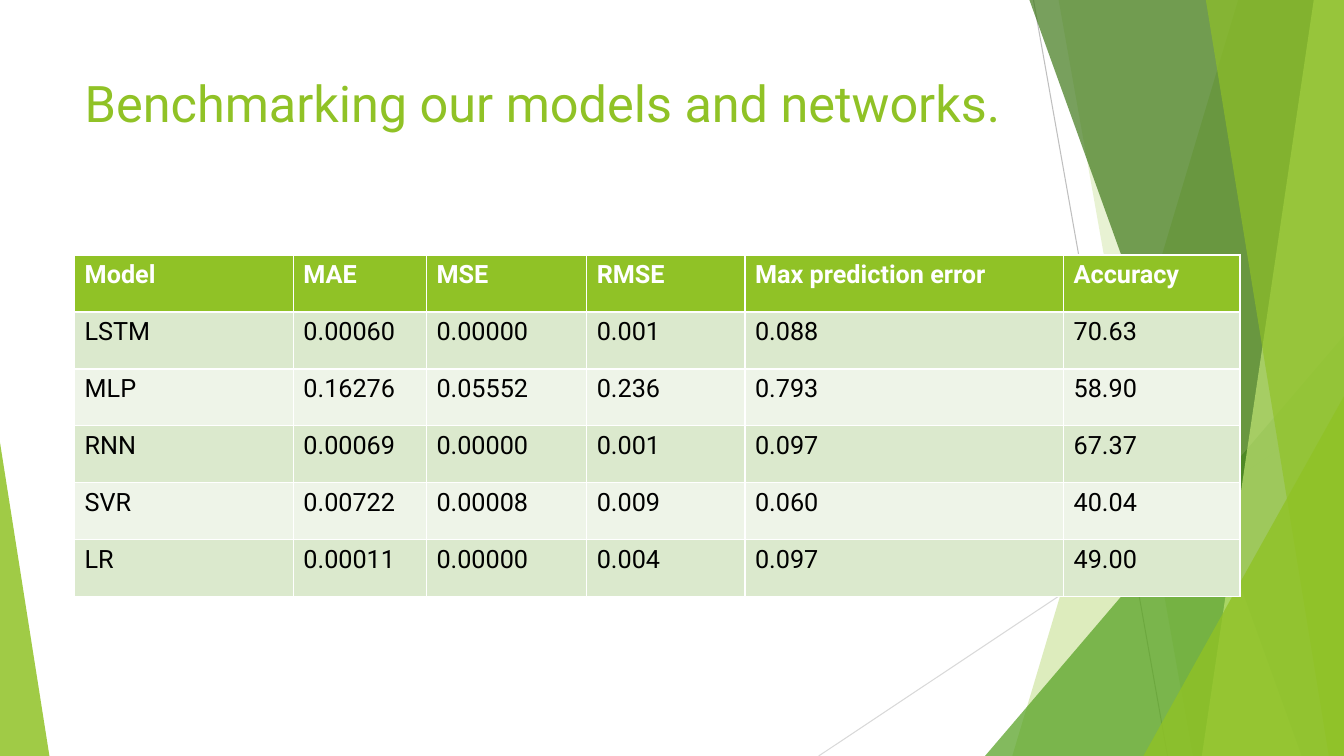
from pptx import Presentation
from pptx.dml.color import RGBColor
from pptx.enum.shapes import MSO_CONNECTOR, MSO_SHAPE
from pptx.enum.text import MSO_ANCHOR, PP_ALIGN
from pptx.oxml.ns import qn
from pptx.util import Inches, Pt
from lxml.etree import SubElement

WIDTH, HEIGHT = 13.33, 7.5
FONT = "Roboto"
GREEN = RGBColor(0x90, 0xC2, 0x26)
MID_GREEN = RGBColor(0x54, 0xA0, 0x21)
DARK_GREEN = RGBColor(0x3F, 0x78, 0x19)
LIME = RGBColor(0xC0, 0xE4, 0x74)
ROW_TINTS = (RGBColor(0xDB, 0xE9, 0xCD), RGBColor(0xEE, 0xF4, 0xE8))
GREY = RGBColor(0xBF, 0xBF, 0xBF)
LIGHT_GREY = RGBColor(0xD9, 0xD9, 0xD9)
WHITE = RGBColor(0xFF, 0xFF, 0xFF)
BLACK = RGBColor(0, 0, 0)

# Content
TITLE = "Benchmarking our models and networks."
ROWS = [
    ("Model", "MAE", "MSE", "RMSE", "Max prediction error", "Accuracy"),
    ("LSTM", "0.00060", "0.00000", "0.001", "0.088", "70.63"),
    ("MLP", "0.16276", "0.05552", "0.236", "0.793", "58.90"),
    ("RNN", "0.00069", "0.00000", "0.001", "0.097", "67.37"),
    ("SVR", "0.00722", "0.00008", "0.009", "0.060", "40.04"),
    ("LR", "0.00011", "0.00000", "0.004", "0.097", "49.00"),
]
COL_WIDTHS = (2.17, 1.32, 1.59, 1.57, 3.16, 1.75)
ROW_HEIGHT = 0.565

# Background: lines as (x1, y1, x2, y2, colour)
LINES = [
    (10.25, 0, 11.58, HEIGHT, GREY),
    (WIDTH, 4.03, 8.12, HEIGHT, LIGHT_GREY),
]
# Bands reach the right edge: ("band", top x, bottom x, colour, opacity %)
# Triangles stand on the bottom edge: ("triangle", left, top, width, apex, colour, opacity %)
FACETS = [
    ("band", 12.28, 10.04, GREEN, 30),
    ("band", 10.5, 11.83, GREEN, 20),
    ("triangle", 9.77, 3.33, 3.56, 1, MID_GREEN, 72),
    ("band", 10.21, 12.91, DARK_GREEN, 70),
    ("band", 13.03, 11.92, LIME, 70),
    ("band", 11.96, 13.18, GREEN, 65),
    ("triangle", 11.34, 3.93, 1.99, 1, GREEN, 80),
    ("triangle", 0, 4.39, 0.49, 0, GREEN, 85),
]


def add_band(shapes, top_x, bottom_x):
    builder = shapes.build_freeform(Inches(top_x), 0)
    corners = [(WIDTH, 0), (WIDTH, HEIGHT), (bottom_x, HEIGHT)]
    builder.add_line_segments([(Inches(x), Inches(y)) for x, y in corners], close=True)
    return builder.convert_to_shape()


def add_triangle(shapes, left, top, width, apex):
    sp = shapes.add_shape(MSO_SHAPE.ISOSCELES_TRIANGLE, Inches(left), Inches(top),
                          Inches(width), Inches(HEIGHT - top))
    sp.adjustments[0] = apex
    return sp


def add_background(shapes):
    for x1, y1, x2, y2, color in LINES:
        line = shapes.add_connector(MSO_CONNECTOR.STRAIGHT, Inches(x1), Inches(y1),
                                    Inches(x2), Inches(y2))
        line.line.color.rgb = color
        line.line.width = Pt(0.75)
        SubElement(line.element.spPr, qn("a:effectLst"))
    for kind, *geometry, color, opacity in FACETS:
        add = add_band if kind == "band" else add_triangle
        sp = add(shapes, *geometry)
        sp.shadow.inherit = False
        sp.line.fill.background()
        sp.fill.solid()
        sp.fill.fore_color.rgb = color
        srgb = sp.element.spPr.find(qn("a:solidFill")).find(qn("a:srgbClr"))
        SubElement(srgb, qn("a:alpha"), val=str(opacity * 1000))


def format_run(r, size, color, bold=False):
    r.font.name = FONT
    r.font.size = Pt(size)
    r.font.color.rgb = color
    r.font.bold = bold


def add_title(slide):
    title = slide.shapes.title
    title.left, title.top = Inches(0.74), Inches(0.67)
    title.width, title.height = Inches(9.4), Inches(1.44)
    tf = title.text_frame
    tf.text = TITLE
    tf.vertical_anchor = MSO_ANCHOR.TOP
    p = tf.paragraphs[0]
    p.alignment = PP_ALIGN.LEFT
    format_run(p.runs[0], 36, GREEN)
    slide.shapes.element.append(title.element)  # bring in front of the background


def add_results(shapes):
    table = shapes.add_table(len(ROWS), len(COL_WIDTHS), Inches(0.74), Inches(2.53),
                             Inches(sum(COL_WIDTHS)), Inches(ROW_HEIGHT * len(ROWS))).table
    for column, width in zip(table.columns, COL_WIDTHS):
        column.width = Inches(width)
    for i, values in enumerate(ROWS):
        header = i == 0
        for j, value in enumerate(values):
            cell = table.cell(i, j)
            cell.text_frame.text = value
            cell.fill.solid()
            cell.fill.fore_color.rgb = GREEN if header else ROW_TINTS[(i - 1) % 2]
            r = cell.text_frame.paragraphs[0].runs[0]
            format_run(r, 18, WHITE if header else BLACK, header)


def main():
    prs = Presentation()
    prs.slide_width, prs.slide_height = Inches(WIDTH), Inches(HEIGHT)
    slide = prs.slides.add_slide(prs.slide_layouts[5])
    add_background(slide.shapes)
    add_title(slide)
    add_results(slide.shapes)
    prs.save("out.pptx")


if __name__ == "__main__":
    main()
